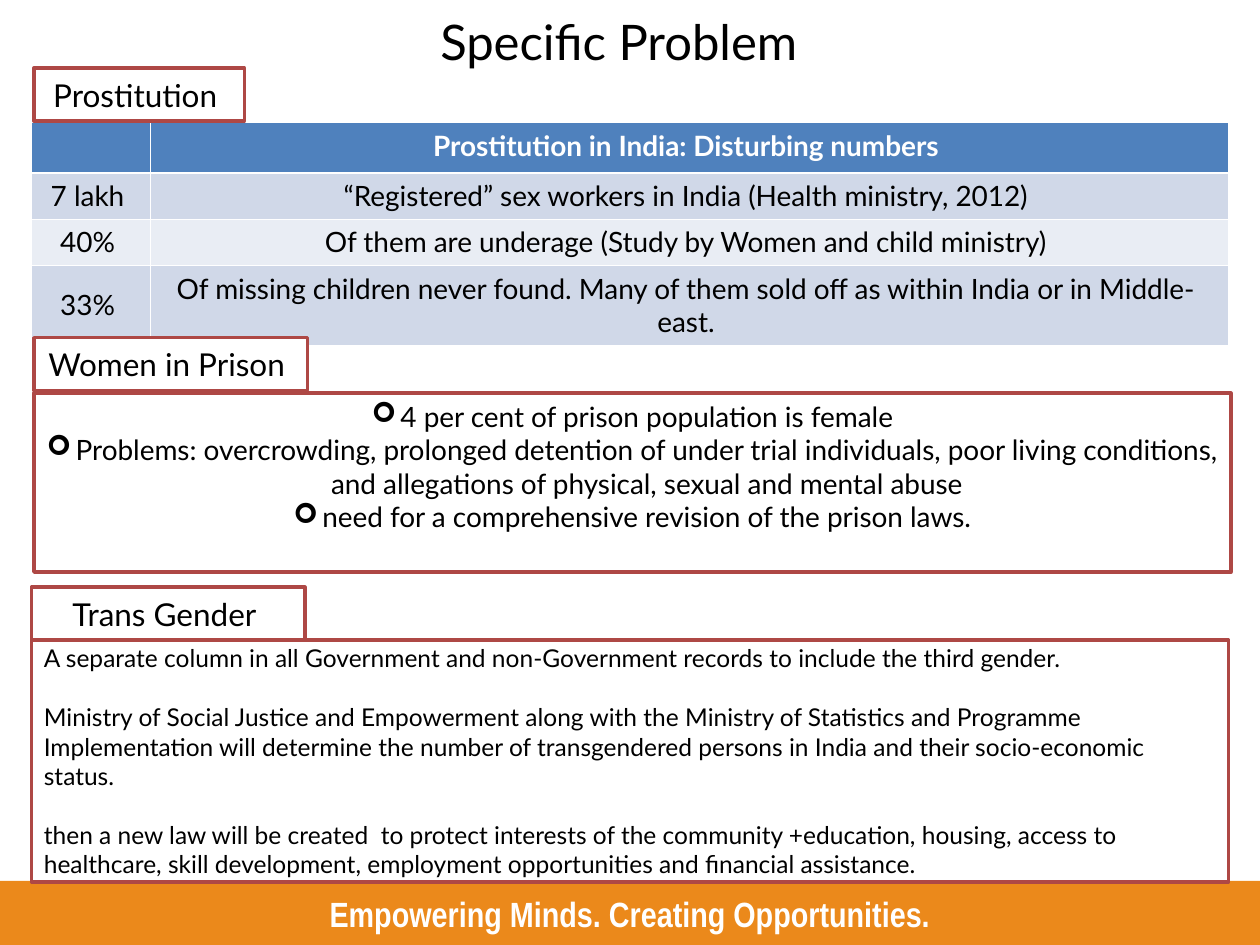
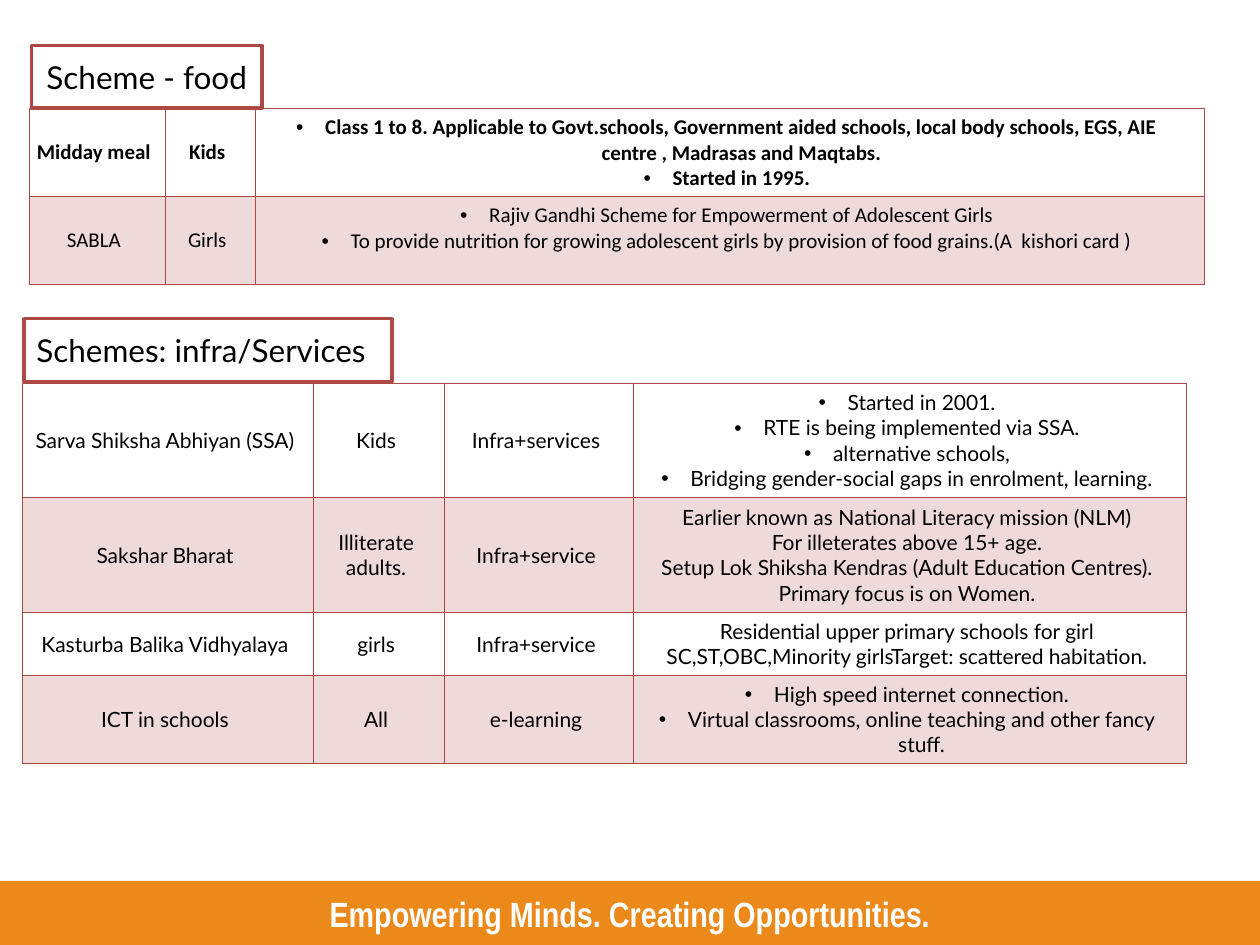
import pptx
import pptx.util
import pptx.dml.color
import pptx.enum.shapes
import pptx.enum.text
from lxml import etree

COLORS = {
    "orange": "EB891B", "red": "AE4845", "blue": "4F81BD", "pale": "D0D8E8",
    "mist": "E9EDF4", "white": "FFFFFF", "black": "000000",
}
WIDTH, HEIGHT = 10, 7.5
NAMESPACE = "http://schemas.openxmlformats.org/drawingml/2006/main"
BULLETS = {"➢ ": "Wingdings", "• ": "Arial"}
BULLET_INDENT = 0.23
THIN_LINE = 0.45
BOX_MARGINS = (0.1, 0.05, 0.1, 0.05)
CELL_MARGINS = (0.05, 0.05, 0.1, 0.05)

ALIGN = pptx.enum.text.PP_ALIGN
ANCHOR = pptx.enum.text.MSO_ANCHOR
TITLE = {"size": 28, "font": "Lato"}
LABEL = {"size": 18, "font": "Lato"}
FOOTER = {"size": 20, "font": "Arial Narrow", "color": "white", "bold": True}
HEADING = {"size": 16, "font": "Lato", "color": "white", "bold": True}
FACTS = {"size": 16, "font": "Lato"}
NOTES = {"size": 14, "font": "Lato", "align": ALIGN.LEFT, "gap": 16.8}
FOOD = {"size": 12, "font": "Calibri"}
FOOD_FIRST = {**FOOD, "bold": True}
INFRA = {"size": 12, "font": "Lato"}

FOOTER_TEXT = ["Empowering Minds. Creating Opportunities."]
PRISON_FACTS = [
    "➢ 4 per cent of prison population is female",
    "➢ Problems: overcrowding, prolonged detention of under trial individuals, poor living "
    "conditions, and allegations of physical, sexual and mental abuse",
    "➢ need for a comprehensive revision of the prison laws.",
]
TRANSGENDER_NOTES = [
    "A separate column in all Government and non-Government records to include the third gender.",
    "Ministry of Social Justice and Empowerment along with the Ministry of Statistics and Programme "
    "Implementation will determine the number of transgendered persons in India and their "
    "socio-economic status.",
    "then a new law will be created  to protect interests of the community +education, housing, "
    "access to healthcare, skill development, employment opportunities and financial assistance.",
]

PAGES = [
    {
        "title": "Specific Problem ",
        "tables": [{
            "at": (0.25, 0.97), "columns": (0.94, 8.56), "rows": (0.4, 0.3, 0.3, 0.6),
            "fills": ("blue", "pale", "mist", "pale"), "border": "white", "rule": 1.47,
            "first": HEADING, "body": FACTS, "first_anchor": ANCHOR.TOP,
            "cells": [
                [[], ["Prostitution in India: Disturbing numbers"]],
                [["7 lakh"], ["“Registered” sex workers in India (Health ministry, 2012)"]],
                [["40%"], ["Of them are underage (Study by Women and child ministry)"]],
                [["33%"], ["Of missing children never found. Many of them sold off as within "
                           "India or in Middle-east."]],
            ],
        }],
        "boxes": [
            ((0.27, 0.54, 1.67, 0.42), ["Prostitution "], LABEL, BOX_MARGINS),
            ((0.27, 2.68, 2.17, 0.42), ["Women in Prison "], LABEL, BOX_MARGINS),
            ((0.27, 3.12, 9.5, 1.42), PRISON_FACTS, FACTS, (0.1, 0.05, 0.1, 0.31)),
            ((0.25, 4.66, 2.17, 0.42), ["Trans Gender "], LABEL, BOX_MARGINS),
            ((0.25, 5.08, 9.5, 1.92), TRANSGENDER_NOTES, NOTES, BOX_MARGINS),
        ],
    },
    {
        "tables": [
            {
                "at": (0.23, 0.86), "columns": (1.08, 0.72, 7.53), "rows": (0.61, 0.64),
                "fills": (None, "red"), "border": "red", "rule": 0.96,
                "first": FOOD_FIRST, "body": FOOD, "bottoms": {(1, 2): 0.25},
                "cells": [
                    [["Midday meal"], ["Kids"], [
                        "• Class 1 to 8. Applicable to Govt.schools, Government aided schools, "
                        "local body schools, EGS, AIE centre , Madrasas and Maqtabs.",
                        "• Started in 1995."]],
                    [["SABLA"], ["Girls"], [
                        "• Rajiv Gandhi Scheme for Empowerment of Adolescent Girls",
                        "• To provide nutrition for growing adolescent girls by provision of food "
                        "grains.(A  kishori card )"]],
                ],
            },
            {
                "at": (0.18, 3.04), "columns": (2.31, 1.04, 1.5, 4.39),
                "rows": (0.91, 0.91, 0.45, 0.68),
                "fills": (None, "red", None, "red"), "border": "red", "rule": 0.96,
                "first": INFRA, "body": INFRA,
                "cells": [
                    [["Sarva Shiksha Abhiyan (SSA)"], ["Kids"], ["Infra+services"], [
                        "• Started in 2001.",
                        "• RTE is being implemented via SSA.",
                        "• alternative schools,",
                        "• Bridging gender-social gaps in enrolment, learning."]],
                    [["Sakshar Bharat"], ["Illiterate adults."], ["Infra+service"], [
                        "Earlier known as National Literacy mission (NLM)",
                        "For illeterates above 15+ age.",
                        "Setup Lok Shiksha Kendras (Adult Education Centres).",
                        "Primary focus is on Women."]],
                    [["Kasturba Balika Vidhyalaya"], ["girls"], ["Infra+service"], [
                        "Residential upper primary schools for girl SC,ST,OBC,Minority "
                        "girlsTarget: scattered habitation."]],
                    [["ICT in schools"], ["All"], ["e-learning"], [
                        "• High speed internet connection.",
                        "• Virtual classrooms, online teaching and other fancy stuff."]],
                ],
            },
        ],
        "boxes": [
            ((0.25, 0.36, 1.83, 0.5), ["Scheme - food"], LABEL, BOX_MARGINS),
            ((0.19, 2.53, 2.92, 0.5), ["Schemes: infra/Services"],
             {**LABEL, "align": ALIGN.LEFT}, BOX_MARGINS),
        ],
    },
]


def inches(values):
    return [pptx.util.Inches(value) for value in values]


def rgb(name):
    return pptx.dml.color.RGBColor.from_string(COLORS[name])


def add_element(parent, tag, **attributes):
    return etree.SubElement(parent, f"{{{NAMESPACE}}}{tag}", attributes)


def set_values(target, values):
    for name, value in values.items():
        setattr(target, name, value)


def set_margins(target, margins):
    sides = ("margin_left", "margin_top", "margin_right", "margin_bottom")
    set_values(target, dict(zip(sides, inches(margins))))


def write(frame, lines, style):
    for index, line in enumerate(lines):
        para = frame.paragraphs[0] if index == 0 else frame.add_paragraph()
        para.alignment = style.get("align", ALIGN.CENTER)
        if index and "gap" in style:
            para.space_before = pptx.util.Pt(style["gap"])
        marker = line[:2]
        if marker in BULLETS:
            line = line[2:]
            properties = para._p.get_or_add_pPr()
            indent = pptx.util.Inches(BULLET_INDENT)
            properties.set("marL", str(indent))
            properties.set("indent", str(-indent))
            add_element(properties, "buFont", typeface=BULLETS[marker])
            add_element(properties, "buChar", char=marker.strip())
        span = para.add_run()
        span.text = line
        set_values(span.font, {"size": pptx.util.Pt(style["size"]), "name": style["font"],
                               "bold": style.get("bold", False)})
        span.font.color.rgb = rgb(style.get("color", "black"))


def add_box(page, place, lines, style, margins=BOX_MARGINS, fill="white", line="red"):
    box = page.shapes.add_shape(pptx.enum.shapes.MSO_SHAPE.RECTANGLE, *inches(place))
    box.shadow.inherit = False
    box.fill.solid()
    box.fill.fore_color.rgb = rgb(fill)
    if line:
        box.line.color.rgb = rgb(line)
        box.line.width = pptx.util.Pt(2)
    else:
        box.line.fill.background()
    set_values(box.text_frame, {"word_wrap": True, "vertical_anchor": ANCHOR.MIDDLE})
    set_margins(box.text_frame, margins)
    write(box.text_frame, lines, style)


def add_title(page, text):
    box = page.shapes.add_textbox(*inches((3.25, 0.07, 3.42, 0.51)))
    set_values(box.text_frame, {"word_wrap": True, "vertical_anchor": ANCHOR.MIDDLE})
    set_margins(box.text_frame, (0, 0, 0, 0))
    write(box.text_frame, [text], TITLE)


def fill_cell(cell, color):
    if color is None:
        cell.fill.background()
        return
    cell.fill.solid()
    cell.fill.fore_color.rgb = rgb(color)
    if color == "red":
        swatch = cell._tc.tcPr.find(f".//{{{NAMESPACE}}}srgbClr")
        add_element(swatch, "alpha", val="20000")


def draw_borders(cell, color, top, bottom):
    properties = cell._tc.get_or_add_tcPr()
    weights = {"lnL": THIN_LINE, "lnR": THIN_LINE, "lnT": top, "lnB": bottom}
    for index, (tag, weight) in enumerate(weights.items()):
        border = add_element(properties, tag, w=str(pptx.util.Pt(weight)))
        add_element(add_element(border, "solidFill"), "srgbClr", val=COLORS[color])
        properties.insert(index, border)


def add_grid(page, spec):
    columns, rows = spec["columns"], spec["rows"]
    place = inches((*spec["at"], sum(columns), sum(rows)))
    table = page.shapes.add_table(len(rows), len(columns), *place).table
    set_values(table, {"first_row": False, "horz_banding": False})
    for column, width in zip(table.columns, columns):
        column.width = pptx.util.Inches(width)
    for r, height in enumerate(rows):
        table.rows[r].height = pptx.util.Inches(height)
        for c, lines in enumerate(spec["cells"][r]):
            cell = table.cell(r, c)
            fill_cell(cell, spec["fills"][r])
            draw_borders(cell, spec["border"], spec["rule"] if r == 1 else THIN_LINE,
                         spec["rule"] if r == 0 else THIN_LINE)
            bottom = spec.get("bottoms", {}).get((r, c), CELL_MARGINS[3])
            set_margins(cell, (*CELL_MARGINS[:3], bottom))
            cell.vertical_anchor = ANCHOR.MIDDLE if r else spec.get("first_anchor", ANCHOR.MIDDLE)
            write(cell.text_frame, lines, spec["body"] if r else spec["first"])


def add_page(deck, content):
    page = deck.slides.add_slide(deck.slide_layouts[6])
    add_box(page, (0, 6.99, WIDTH, 0.52), FOOTER_TEXT, FOOTER, fill="orange", line=None)
    if "title" in content:
        add_title(page, content["title"])
    for grid in content["tables"]:
        add_grid(page, grid)
    for box in content["boxes"]:
        add_box(page, *box)


def main():
    deck = pptx.Presentation()
    deck.slide_width, deck.slide_height = inches((WIDTH, HEIGHT))
    for content in PAGES:
        add_page(deck, content)
    deck.save("out.pptx")


if __name__ == "__main__":
    main()
